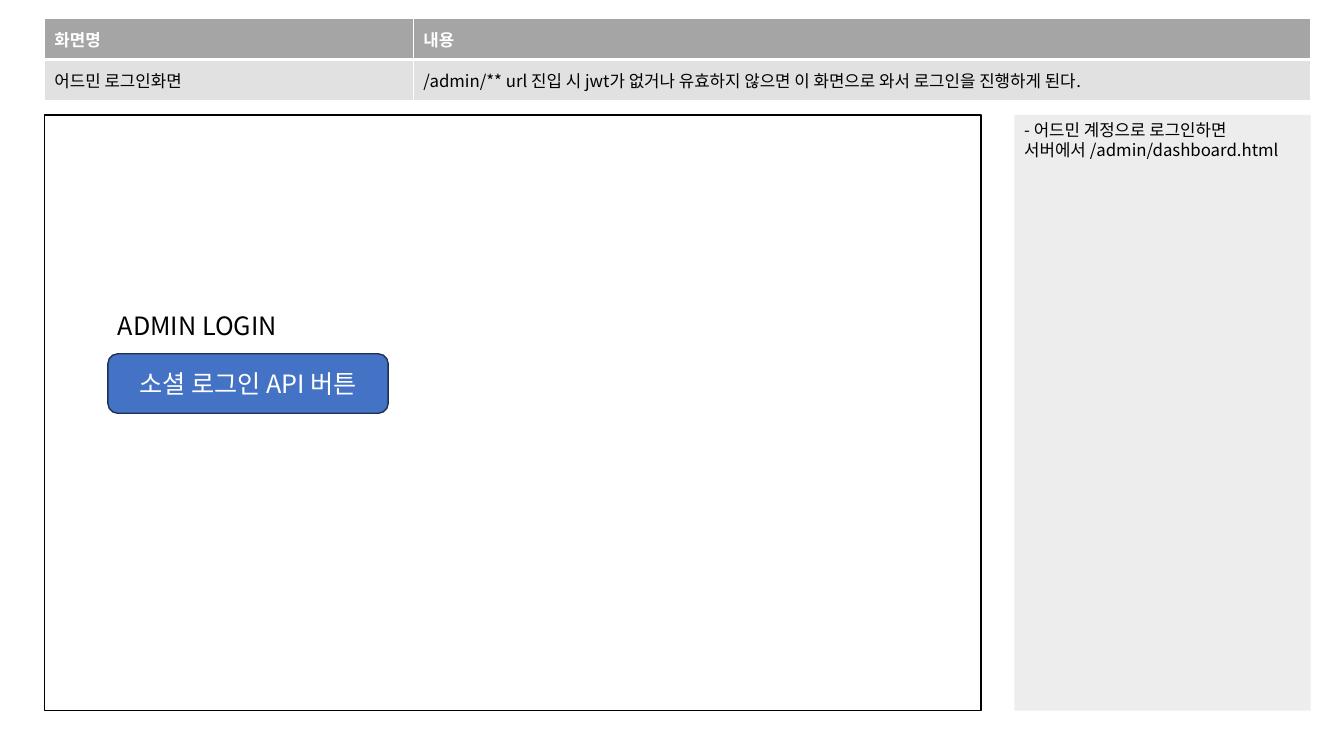
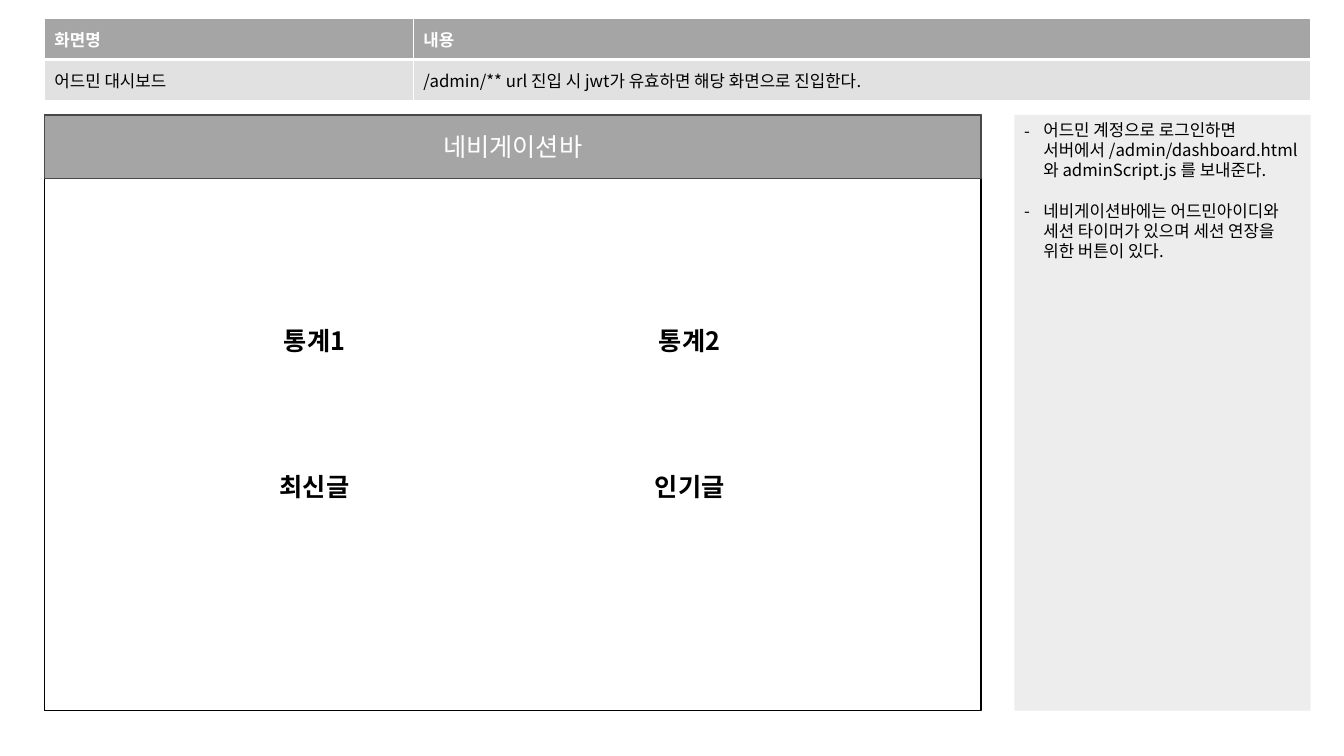
"""Build two wireframe slides that describe the admin screens."""
from lxml.etree import SubElement
from pptx import Presentation
from pptx.dml.color import RGBColor
from pptx.enum.shapes import MSO_SHAPE
from pptx.enum.text import MSO_ANCHOR, PP_ALIGN
from pptx.oxml.ns import qn
from pptx.util import Inches, Pt

FONT = "Noto Sans CJK KR"
COLORS = {
    "white": "FFFFFF", "black": "000000", "header": "A5A5A5", "row": "E1E1E1",
    "panel": "EDEDED", "nav_line": "484848", "button": "4472C4", "button_line": "1E3256",
}
LEFT, TOP, HEIGHT = 0.44, 1.14, 5.91
FRAME = (LEFT, TOP, 9.29, HEIGHT)
NOTES = (10.06, TOP, 2.94, HEIGHT)
NAVBAR = (LEFT, TOP, 9.29, 0.63)
BUTTON = (1.07, 3.51, 2.78, 0.59)
LOGIN_TITLE = (1.07, 3.03, 3.92, 0.4)

HEADINGS = ("화면명", "내용")
LOGIN = {
    "summary": ("어드민 로그인화면",
                "/admin/** url 진입 시 jwt가 없거나 유효하지 않으면 이 화면으로 와서 로그인을 진행하게 된다."),
    "notes": ["- 어드민 계정으로 로그인하면 서버에서 /admin/dashboard.html"],
}
DASHBOARD = {
    "summary": ("어드민 대시보드", "/admin/** url 진입 시 jwt가 유효하면 해당 화면으로 진입한다."),
    "notes": ["어드민 계정으로 로그인하면 서버에서 /admin/dashboard.html 와 adminScript.js 를 보내준다.",
              "네비게이션바에는 어드민아이디와 세션 타이머가 있으며 세션 연장을 위한 버튼이 있다."],
}
STATS = [("통계1", "통계2"), ("최신글", "인기글")]


def rgb(name):
    return RGBColor.from_string(COLORS[name])


def add_run(p, text, size, color="black", bold=False):
    r = p.add_run()
    r.text = text
    r.font.size, r.font.bold, r.font.name = Pt(size), bold, FONT
    r.font.color.rgb = rgb(color)
    SubElement(r.font._element, qn("a:ea"), typeface=FONT)


def add_box(s, box, fill, line=None, kind=MSO_SHAPE.RECTANGLE, label=None):
    sp = s.shapes.add_shape(kind, *map(Inches, box))
    sp.shadow.inherit = False
    sp.fill.solid()
    sp.fill.fore_color.rgb = rgb(fill)
    if line:
        sp.line.color.rgb = rgb(line)
        sp.line.width = Pt(1)
    else:
        sp.line.fill.background()
    if label:
        sp.text_frame.vertical_anchor = MSO_ANCHOR.MIDDLE
        p = sp.text_frame.paragraphs[0]
        p.alignment = PP_ALIGN.CENTER
        add_run(p, label, 18, "white")
    return sp


def set_borders(cell, widths):
    tc_pr = cell._tc.get_or_add_tcPr()
    for index, (side, width) in enumerate(widths.items()):
        ln = tc_pr.makeelement(qn(f"a:ln{side}"), {"w": str(Pt(width))})
        SubElement(SubElement(ln, qn("a:solidFill")), qn("a:srgbClr"), val=COLORS["white"])
        tc_pr.insert(index, ln)


def add_grid(s, at, cols, row_height, rows, size, align, styles):
    box = (*at, sum(cols), row_height * len(rows))
    table = s.shapes.add_table(len(rows), len(cols), *map(Inches, box)).table
    table.first_row = table.horz_banding = False
    for column, width in zip(table.columns, cols):
        column.width = Inches(width)
    for i, (texts, (fill, color, bold)) in enumerate(zip(rows, styles)):
        table.rows[i].height = Inches(row_height)
        for j, text in enumerate(texts):
            cell = table.cell(i, j)
            cell.vertical_anchor = MSO_ANCHOR.MIDDLE
            if fill:
                cell.fill.solid()
                cell.fill.fore_color.rgb = rgb(fill)
            else:
                cell.fill.background()
            set_borders(cell, {"L": 1, "R": 1, "T": 1 if i == 0 else 3, "B": 3 if i == 0 else 1})
            p = cell.text_frame.paragraphs[0]
            p.alignment = align
            add_run(p, text, size, color, bold)


def add_notes(s, notes):
    tf = add_box(s, NOTES, "panel").text_frame
    tf.vertical_anchor = MSO_ANCHOR.TOP
    for i, note in enumerate(notes):
        p = tf.add_paragraph() if i else tf.paragraphs[0]
        p.alignment = PP_ALIGN.LEFT
        if len(notes) > 1:
            p_pr = p._p.get_or_add_pPr()
            p_pr.set("marL", str(Inches(0.19)))
            p_pr.set("indent", str(Inches(-0.19)))
            p.space_before = Pt(14.4 if i else 0)
            bullet_color = SubElement(p_pr, qn("a:buClr"))
            SubElement(bullet_color, qn("a:srgbClr"), val=COLORS["black"])
            SubElement(p_pr, qn("a:buFont"), typeface=FONT)
            SubElement(p_pr, qn("a:buChar"), char="-")
        add_run(p, note, 12)


def add_screen(prs, screen):
    s = prs.slides.add_slide(prs.slide_layouts[6])
    add_box(s, FRAME, "white", "black")
    add_grid(s, (LEFT, 0.18), (3.66, 8.9), 0.41, [HEADINGS, screen["summary"]], 12,
             PP_ALIGN.LEFT, [("header", "white", True), ("row", "black", False)])
    add_notes(s, screen["notes"])
    return s


def main():
    prs = Presentation()
    prs.slide_width, prs.slide_height = Inches(13.33), Inches(7.5)

    s = add_screen(prs, LOGIN)
    add_box(s, BUTTON, "button", "button_line", MSO_SHAPE.ROUNDED_RECTANGLE, "소셜 로그인 API 버튼")
    tf = s.shapes.add_textbox(*map(Inches, LOGIN_TITLE)).text_frame
    tf.word_wrap = True
    add_run(tf.paragraphs[0], "ADMIN LOGIN", 18)

    s = add_screen(prs, DASHBOARD)
    add_box(s, NAVBAR, "header", "nav_line", label="네비게이션바")
    add_grid(s, (1.26, 2.64), (3.72, 3.72), 1.45, STATS, 18,
             PP_ALIGN.CENTER, [(None, "black", True)] * 2)

    prs.save("out.pptx")


if __name__ == "__main__":
    main()
